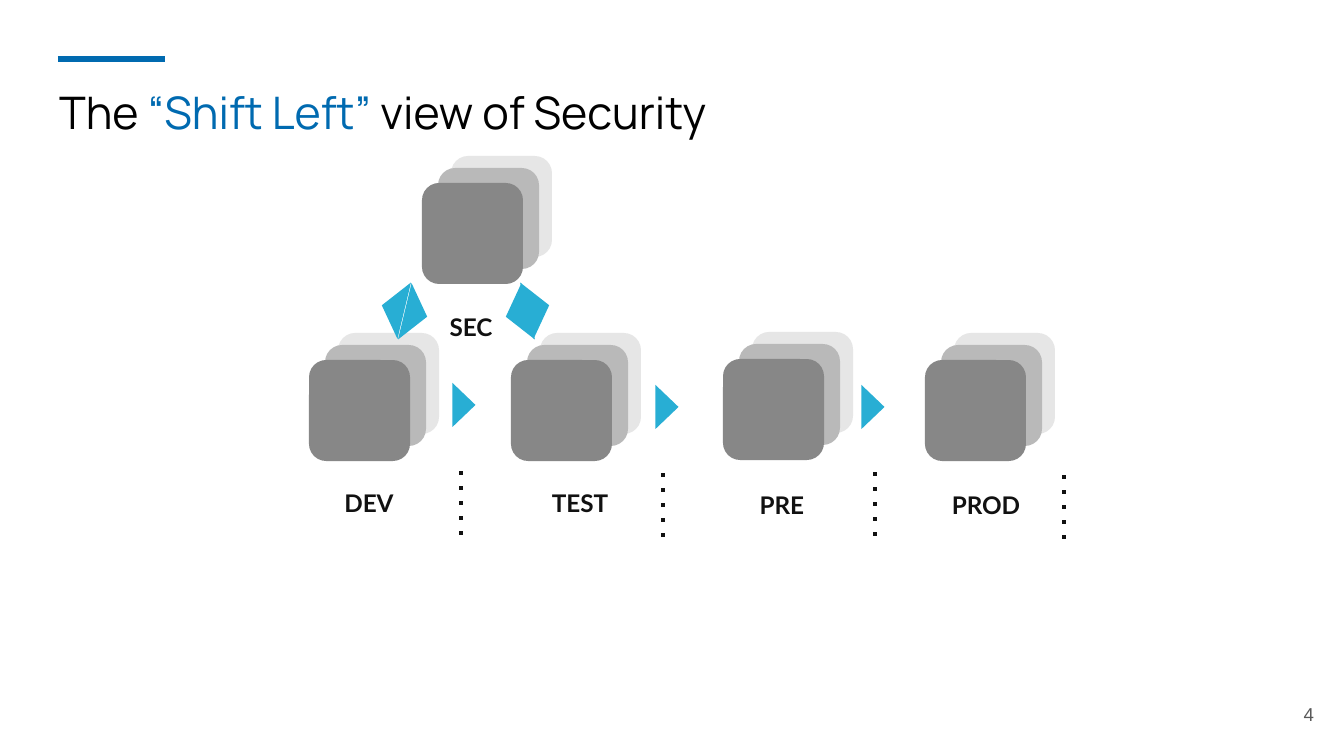
import lxml.etree
import pptx
import pptx.dml.color
import pptx.enum.dml
import pptx.enum.shapes
import pptx.enum.text
import pptx.oxml.ns
import pptx.util

PX = 914400 / 134.4
SHAPE = pptx.enum.shapes.MSO_SHAPE
ALIGN = pptx.enum.text.PP_ALIGN
ANCHOR = pptx.enum.text.MSO_ANCHOR
rgb = pptx.dml.color.RGBColor.from_string
qn = pptx.oxml.ns.qn

theme = {
    "accent": "006AB0", "title": "000000", "label": "111111", "page": "595959",
    "arrow": "28AED4", "cards": ["E6E6E6", "B9B9B9", "878787"],
    "title_pt": 24, "label_pt": 13, "page_pt": 10,
}


def px(*lengths):
    return [pptx.util.Emu(round(length * PX)) for length in lengths]


def add_text(box, runs, font, size, align, inset_y, anchor=ANCHOR.TOP, bold=False):
    """Add a one-paragraph text box; runs are (text, colour) pairs."""
    frame = slide.shapes.add_textbox(*px(*box)).text_frame
    frame.word_wrap = True
    frame.vertical_anchor = anchor
    frame.margin_left = frame.margin_right = pptx.util.Inches(0.1)
    frame.margin_top = frame.margin_bottom = pptx.util.Inches(inset_y)
    paragraph = frame.paragraphs[0]
    paragraph.alignment = align
    paragraph.font.name = font
    paragraph.font.size = pptx.util.Pt(size)
    paragraph.font.bold = bold
    for text, colour in runs:
        run = paragraph.add_run()
        run.text = text
        run.font.color.rgb = rgb(colour)


presentation = pptx.Presentation()
presentation.slide_width, presentation.slide_height = px(1344, 756)
slide = presentation.slides.add_slide(presentation.slide_layouts[6])

# Page number and title
add_text((1246, 685, 81, 58), [("4", theme["page"])], "Arial", theme["page_pt"],
         ALIGN.RIGHT, 0.1, ANCHOR.MIDDLE)
add_text((46, 71, 1298, 159),
         [("The ", theme["title"]), ("“Shift Left” ", theme["accent"]),
          ("view of Security", theme["title"])],
         "Manrope", theme["title_pt"], ALIGN.LEFT, 0.1)

# Stages: name, front card left and top, label centre, top and width
CARD = 101
stages = [
    ("DEV", 309, 360, 369, 482, 87),
    ("TEST", 511, 360, 580, 482, 101),
    ("PRE", 723, 359, 782, 484, 87),
    ("PROD", 925, 360, 986, 484, 101),
    ("SEC", 422, 183, 471, 306, 101),
]
card_offsets = [(29, -27), (16, -15), (0, 0)]
for name, left, top, label_centre, label_top, label_width in stages:
    for (dx, dy), colour in zip(card_offsets, theme["cards"]):
        card = slide.shapes.add_shape(
            SHAPE.ROUNDED_RECTANGLE, *px(left + dx, top + dy, CARD, CARD))
        card.shadow.inherit = False
        card.adjustments[0] = 0.17
        card.fill.solid()
        card.fill.fore_color.rgb = rgb(colour)
        card.line.fill.background()
    add_text((label_centre - label_width / 2, label_top, label_width, 42),
             [(name, theme["label"])], "Lato", theme["label_pt"],
             ALIGN.CENTER, 0.05, bold=True)

# Title rule and dotted stage dividers: start, end, colour, width, dotted
rules = [(58, 59, 165, 59, theme["accent"], 3, False)]
for x, bottom in [(461, 535), (663, 537), (875, 536), (1064, 539)]:
    rules.append((x, bottom, x, bottom - 68, theme["label"], 2, True))
for x1, y1, x2, y2, colour, width, dotted in rules:
    rule = slide.shapes.add_connector(
        pptx.enum.shapes.MSO_CONNECTOR.STRAIGHT, *px(x1, y1, x2, y2))
    rule.line.color.rgb = rgb(colour)
    rule.line.width = pptx.util.Pt(width)
    properties = rule._element.spPr
    if dotted:
        rule.line.dash_style = pptx.enum.dml.MSO_LINE.ROUND_DOT
        properties.find(".//" + qn("a:prstDash")).set("val", "dot")
    lxml.etree.SubElement(properties, qn("a:effectLst"))

# Arrowheads: centre, base length, rotation; each SEC link has one each way
arrows = [
    (464, 405, 44, 90), (667, 407, 44, 90), (873, 407, 44, 90),
    (538, 308, 58, 76.5), (517, 314, 58, 256.5),
    (393, 308, 58, 283.5), (416, 314, 58, 103.5),
]
DEPTH = 23
for x, y, base, rotation in arrows:
    arrow = slide.shapes.add_shape(
        SHAPE.ISOSCELES_TRIANGLE, *px(x - base / 2, y - DEPTH / 2, base, DEPTH))
    arrow.shadow.inherit = False
    arrow.rotation = rotation
    arrow.fill.solid()
    arrow.fill.fore_color.rgb = rgb(theme["arrow"])
    arrow.line.fill.background()

presentation.save("out.pptx")
